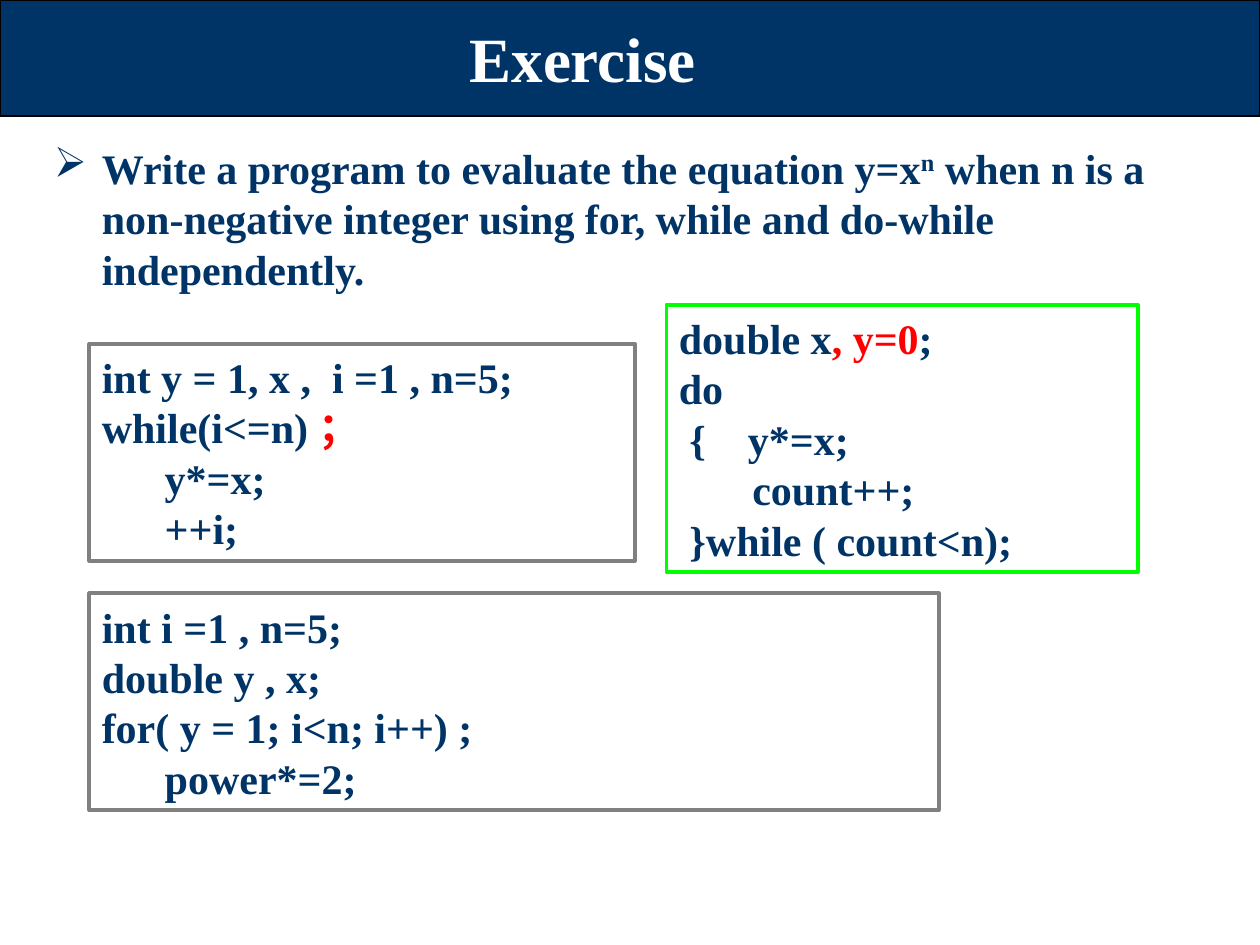
from pptx import Presentation
from pptx.dml.color import RGBColor
from pptx.enum.shapes import MSO_SHAPE
from pptx.enum.text import MSO_ANCHOR, PP_ALIGN
from pptx.oxml.ns import qn
from pptx.util import Inches, Pt
from lxml import etree

NAVY, WHITE, GRAY, GREEN, RED = "003366", "FFFFFF", "808080", "00FF00", "FF0000"


def color(value):
    return RGBColor.from_string(value)


def add_run(paragraph, text, ink=NAVY, size=24):
    run = paragraph.add_run()
    run.text = text
    for name, value in {"name": "Times New Roman", "size": Pt(size), "bold": True}.items():
        setattr(run.font, name, value)
    run.font.color.rgb = color(ink)
    return run


def add_rectangle(slide, bounds, fill, line, width):
    rectangle = slide.shapes.add_shape(MSO_SHAPE.RECTANGLE, *map(Inches, bounds))
    rectangle.shadow.inherit = False
    rectangle.fill.solid()
    rectangle.fill.fore_color.rgb = color(fill)
    rectangle.line.color.rgb = color(line)
    rectangle.line.width = Pt(width)
    return rectangle


def add_text_frame(slide, bounds, anchor):
    frame = slide.shapes.add_textbox(*map(Inches, bounds)).text_frame
    frame.word_wrap = True
    frame.vertical_anchor = anchor
    return frame


def add_title(slide, text):
    add_rectangle(slide, (0, 0, 10, 0.92), NAVY, "000000", 0.75)
    heading = add_text_frame(slide, (0.25, 0.08, 8.75, 0.75), MSO_ANCHOR.MIDDLE).paragraphs[0]
    heading.alignment = PP_ALIGN.CENTER
    add_run(heading, text, WHITE, 36)


def add_task(slide, before, exponent, after):
    task = add_text_frame(slide, (0.33, 1.08, 9.42, 6.17), MSO_ANCHOR.TOP).paragraphs[0]
    properties = task._p.get_or_add_pPr()
    properties.set("marL", str(Inches(0.38)))
    properties.set("indent", str(Inches(-0.38)))
    etree.SubElement(properties, qn("a:buChar")).set("char", "➢")
    add_run(task, before)
    add_run(task, exponent).font._element.set("baseline", "30000")
    add_run(task, after)


def add_code(slide, bounds, border, lines):
    frame = add_rectangle(slide, bounds, WHITE, border, 2.25).text_frame
    frame.vertical_anchor = MSO_ANCHOR.MIDDLE
    frame.word_wrap = True
    for number, pieces in enumerate(lines):
        paragraph = frame.add_paragraph() if number else frame.paragraphs[0]
        paragraph.alignment = PP_ALIGN.LEFT
        for text, ink in pieces:
            add_run(paragraph, text, ink)


def main():
    presentation = Presentation()
    presentation.slide_width, presentation.slide_height = Inches(10), Inches(7.5)
    slide = presentation.slides.add_slide(presentation.slide_layouts[6])

    add_title(slide, "Exercise")
    add_task(
        slide,
        "Write a program to evaluate the equation y=x",
        "n",
        " when n is a non-negative integer using for, while and do-while independently.",
    )
    add_code(slide, (0.71, 2.73, 4.33, 1.72), GRAY, [
        [("int y = 1, x ,  i =1 , n=5;", NAVY)],
        [("while(i<=n) ", NAVY), ("；", RED)],
        [("      y*=x;", NAVY)],
        [("      ++i;", NAVY)],
    ])
    add_code(slide, (0.71, 4.71, 6.74, 1.72), GRAY, [
        [("int i =1 , n=5;", NAVY)],
        [("double y , x;", NAVY)],
        [("for( y = 1; i<n; i++) ;", NAVY)],
        [("      power*=2;", NAVY)],
    ])
    add_code(slide, (5.29, 2.42, 3.74, 2.12), GREEN, [
        [("double x", NAVY), (", y=0", RED), (";", NAVY)],
        [("do", NAVY)],
        [(" {    y*=x;", NAVY)],
        [("       count++;", NAVY)],
        [(" }while ( count<n);", NAVY)],
    ])
    presentation.save("out.pptx")


if __name__ == "__main__":
    main()
